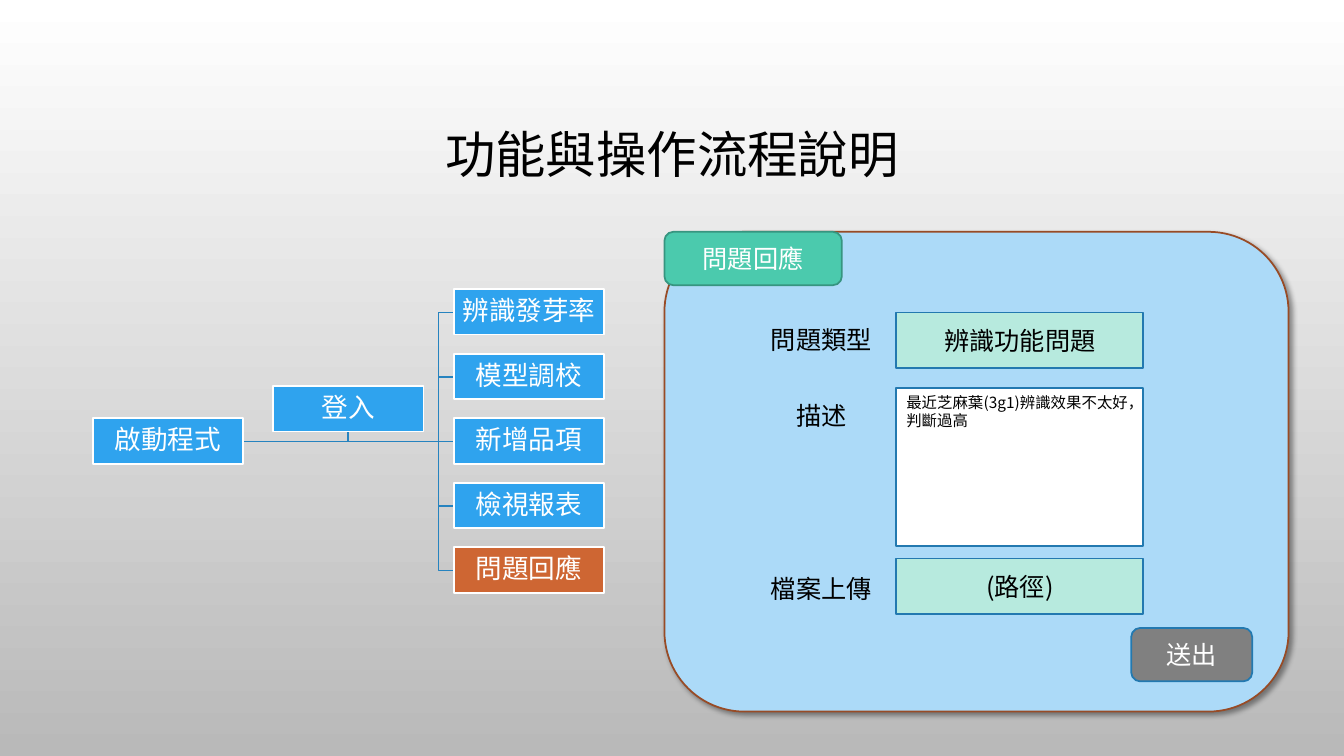
from dataclasses import dataclass
from typing import Optional

from lxml import etree
from pptx import Presentation
from pptx.dml.color import RGBColor
from pptx.enum.shapes import MSO_CONNECTOR, MSO_SHAPE
from pptx.enum.text import MSO_ANCHOR, PP_ALIGN
from pptx.oxml.ns import qn
from pptx.util import Inches, Pt

RECT, ROUND = MSO_SHAPE.RECTANGLE, MSO_SHAPE.ROUNDED_RECTANGLE
STRAIGHT = MSO_CONNECTOR.STRAIGHT
TOP, MIDDLE = MSO_ANCHOR.TOP, MSO_ANCHOR.MIDDLE
LEFT, CENTER = PP_ALIGN.LEFT, PP_ALIGN.CENTER


@dataclass(frozen=True)
class Theme:
    latin: str = "Calibri"
    cjk: str = "Noto Sans CJK SC"
    title_size: float = 36
    node_size: float = 19
    form_size: float = 18
    note_size: float = 11
    line_width: float = 1.25
    black: str = "000000"
    white: str = "FFFFFF"
    back_end: str = "B9B9B9"
    branch: str = "2683BF"
    node: str = "2FA3EE"
    active: str = "CE6633"
    panel: str = "ACDAF8"
    panel_line: str = "984B26"
    tag: str = "4BCAAD"
    tag_line: str = "379580"
    field: str = "B7EADE"
    field_line: str = "2379B0"
    button: str = "808080"


T = Theme()


@dataclass(frozen=True)
class Box:
    x: float
    y: float
    w: float
    h: float
    text: str = ""
    kind: Optional[MSO_SHAPE] = RECT
    fill: Optional[str] = None
    line: Optional[str] = None
    color: str = T.black
    size: float = T.form_size
    font: str = T.cjk
    anchor: MSO_ANCHOR = MIDDLE
    align: PP_ALIGN = CENTER
    spacing: float = 1.0
    inset: Optional[float] = None
    shadow: bool = False


NODE_W, NODE_H = 1.49, 0.45
ROOT_X, LOGIN_X, LEAF_X, BEND_X = 0.92, 2.71, 4.5, 4.35
LEAF_Y, LEAF_STEP = 2.87, 0.64
ROOT_Y, LOGIN_Y = 4.15, 3.83
TRUNK_X, TRUNK_Y = ROOT_X + NODE_W, 4.38
LEAVES = ["辨識發芽率", "模型調校", "新增品項", "檢視報表", "問題回應"]
ACTIVE_LEAF = "問題回應"
FIELD_X, FIELD_W, FIELD_H = 8.89, 2.45, 0.55
LABEL_X, LABEL_W, LABEL_H = 7.25, 1.79, 0.4


def node(x: float, y: float, text: str, fill: str = T.node) -> Box:
    return Box(x, y, NODE_W, NODE_H, text, fill=fill, line=T.white, color=T.white,
               size=T.node_size, spacing=0.9, inset=0.01)


def label(y: float, text: str) -> Box:
    return Box(LABEL_X, y, LABEL_W, LABEL_H, text, kind=None, anchor=TOP)


def field(y: float, text: str) -> Box:
    return Box(FIELD_X, y, FIELD_W, FIELD_H, text, fill=T.field, line=T.field_line)


TITLE = Box(1, 0.68, 11.33, 1.75, "功能與操作流程說明", kind=None,
            size=T.title_size, font=T.latin, spacing=0.9)
TREE = [
    node(ROOT_X, ROOT_Y, "啟動程式"),
    *(node(LEAF_X, LEAF_Y + i * LEAF_STEP, name, T.active if name == ACTIVE_LEAF else T.node)
      for i, name in enumerate(LEAVES)),
    node(LOGIN_X, LOGIN_Y, "登入"),
]
FORM = [
    Box(6.59, 2.3, 6.19, 4.76, kind=ROUND, fill=T.panel, line=T.panel_line, shadow=True),
    Box(6.59, 2.3, 1.76, 0.53, "問題回應", ROUND, T.tag, T.tag_line, T.white),
    field(3.1, "辨識功能問題"),
    label(3.17, "問題類型"),
    Box(11.22, 6.23, 1.2, 0.53, "送出", ROUND, T.button, T.field_line, T.white),
    Box(FIELD_X, 3.85, FIELD_W, 1.57, "最近芝麻葉(3g1)辨識效果不太好，判斷過高",
        fill=T.white, line=T.field_line, size=T.note_size, anchor=TOP, align=LEFT),
    label(3.92, "描述"),
    field(5.54, "(路徑)"),
    Box(LABEL_X, 5.62, LABEL_W, 0.45, "檔案上傳", ROUND, anchor=TOP),
]


def rgb(value: str) -> RGBColor:
    return RGBColor.from_string(value)


def set_line(sp, color: Optional[str]) -> None:
    if color is None:
        sp.line.fill.background()
        return
    sp.line.color.rgb = rgb(color)
    sp.line.width = Pt(T.line_width)


def add_shadow(sp) -> None:
    effects = sp._element.spPr.find(qn("a:effectLst"))
    outer = etree.SubElement(effects, qn("a:outerShdw"), blurRad=str(Pt(4)),
                             dist=str(Pt(3)), dir="2700000", algn="tl", rotWithShape="0")
    clr = etree.SubElement(outer, qn("a:srgbClr"), val=T.black)
    etree.SubElement(clr, qn("a:alpha"), val="40000")


def add_text(sp, box: Box) -> None:
    tf = sp.text_frame
    tf.word_wrap = True
    tf.vertical_anchor = box.anchor
    if box.inset is not None:
        tf.margin_left = tf.margin_right = Inches(box.inset)
        tf.margin_top = tf.margin_bottom = Inches(box.inset)
    p = tf.paragraphs[0]
    p.alignment = box.align
    p.line_spacing = box.spacing
    r = p.add_run()
    r.text = box.text
    r.font.size = Pt(box.size)
    r.font.color.rgb = rgb(box.color)
    r.font.name = box.font
    etree.SubElement(r.font._element, qn("a:ea"), typeface=T.cjk)


def add_box(s, box: Box) -> None:
    frame = [Inches(v) for v in (box.x, box.y, box.w, box.h)]
    if box.kind is None:
        sp = s.shapes.add_textbox(*frame)
    else:
        sp = s.shapes.add_shape(box.kind, *frame)
        sp.shadow.inherit = False
        if box.fill is None:
            sp.fill.background()
        else:
            sp.fill.solid()
            sp.fill.fore_color.rgb = rgb(box.fill)
        set_line(sp, box.line)
    if box.shadow:
        add_shadow(sp)
    if box.text:
        add_text(sp, box)


def add_branch(s, points: list[tuple[float, float]]) -> None:
    start, *rest = [(Inches(x), Inches(y)) for x, y in points]
    if len(rest) == 1:
        sp = s.shapes.add_connector(STRAIGHT, *start, *rest[0])
        etree.SubElement(sp._element.spPr, qn("a:effectLst"))
    else:
        builder = s.shapes.build_freeform(*start)
        builder.add_line_segments(rest, close=False)
        sp = builder.convert_to_shape()
        sp.shadow.inherit = False
        sp.fill.background()
    set_line(sp, T.branch)


def add_branches(s) -> None:
    trunk = (TRUNK_X, TRUNK_Y)
    login_x = LOGIN_X + NODE_W / 2
    add_branch(s, [trunk, (login_x, TRUNK_Y), (login_x, LOGIN_Y + NODE_H)])
    middle = len(LEAVES) // 2
    for i in range(len(LEAVES)):
        y = TRUNK_Y + (i - middle) * LEAF_STEP
        bend = [] if i == middle else [(BEND_X, TRUNK_Y), (BEND_X, y)]
        add_branch(s, [trunk, *bend, (LEAF_X, y)])


def main() -> None:
    prs = Presentation()
    prs.slide_width, prs.slide_height = Inches(13.33), Inches(7.5)
    s = prs.slides.add_slide(prs.slide_layouts[6])
    back = s.background.fill
    back.gradient()
    back.gradient_angle = 270
    for stop, color, position in zip(back.gradient_stops, (T.white, T.back_end), (0, 1)):
        stop.color.rgb = rgb(color)
        stop.position = position
    add_box(s, TITLE)
    add_branches(s)
    for box in TREE + FORM:
        add_box(s, box)
    prs.save("out.pptx")


if __name__ == "__main__":
    main()
